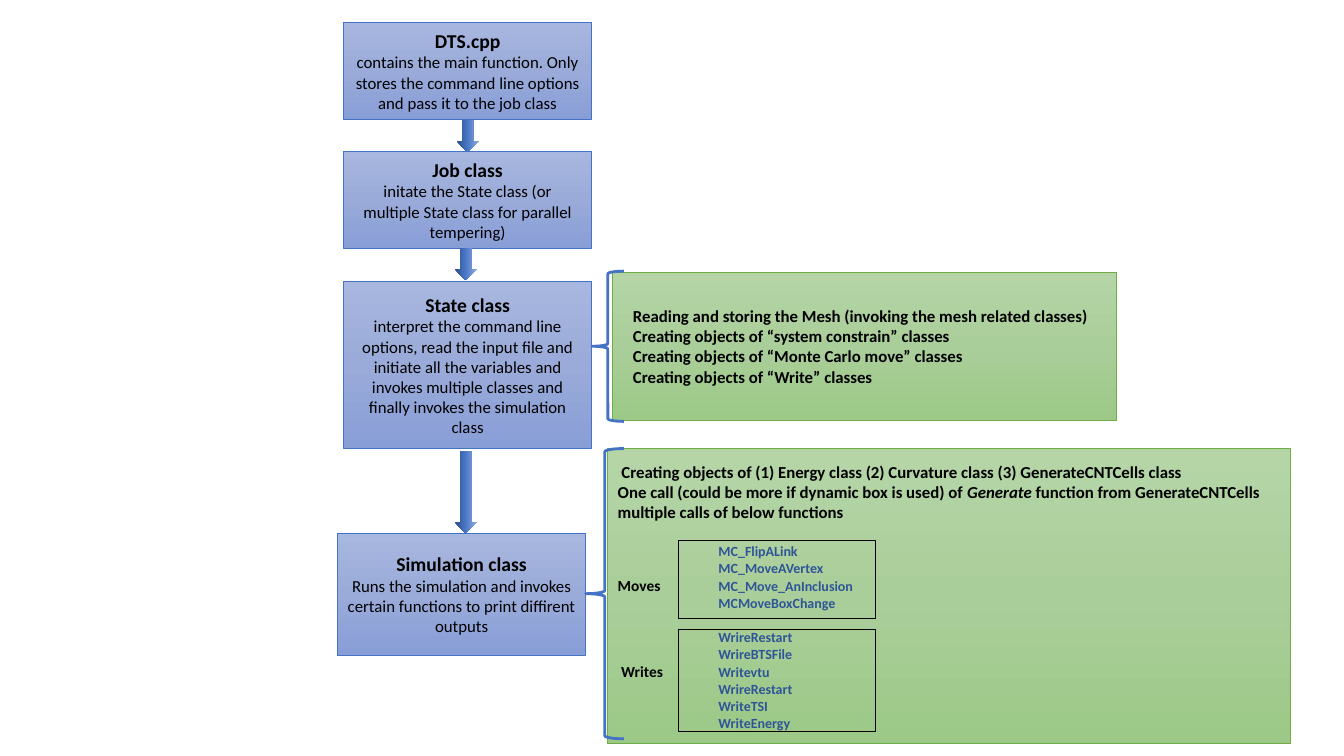
import copy
import lxml.etree
import pptx
import pptx.util
import pptx.dml.color
import pptx.enum.shapes
import pptx.enum.text
import pptx.oxml.ns

Pt = pptx.util.Pt
KIND = pptx.enum.shapes.MSO_SHAPE
ALIGN = pptx.enum.text.PP_ALIGN
CELL = pptx.util.Inches(1) / 12  # the slide is a grid of 160 columns by 90 rows

BLUE = ((0, "A8B7DF"), (50, "9AABD9"), (100, "889ED7"))
GREEN = ((0, "B5D5A7"), (50, "AACE9A"), (100, "9CC987"))
ARROW = ((0, "2A4B86"), (48, "4A76C6"), (100, "8FAADC"))
EDGE, LEAF, BLACK, NAVY = "4472C4", "70AD47", "000000", "2F5597"

STEPS = (
    ((40.92, 2.64, 29.52, 11.52), "DTS.cpp",
     "contains the main function. Only stores the command line options "
     "and pass it to the job class"),
    ((40.92, 18, 29.52, 11.52), "Job class",
     "initate the State class (or multiple State class for parallel tempering)"),
    ((40.92, 33.48, 29.52, 19.92), "State class",
     "interpret the command line options, read the input file and initiate all "
     "the variables and invokes multiple classes and finally invokes the "
     "simulation class"),
    ((40.2, 63.48, 29.52, 14.52), "Simulation class",
     "Runs the simulation and invokes certain functions to print diffirent outputs"),
)
TASKS = (
    "Reading and storing the Mesh (invoking the mesh related classes)",
    "Creating objects of “system constrain” classes",
    "Creating objects of “Monte Carlo move” classes",
    "Creating objects of “Write” classes",
)
# label, its line in the list, gap above in points, function names
GROUPS = (
    ("Moves", 2, 14.6, ("MC_FlipALink", "MC_MoveAVertex",
                        "MC_Move_AnInclusion", "MCMoveBoxChange")),
    (" Writes", 2, 12.2, ("WrireRestart", "WrireBTSFile", "Writevtu",
                          "WrireRestart", "WriteTSI", "WriteEnergy")),
)
ARROWS = ((53.76, 14.88, 3.84, 2.64), (53.52, 30.12, 3.84, 2.64),
          (50.52, 57.24, 9.84, 2.64))
BRACES = ((70.44, 32.28, 3.84, 17.88), (69.72, 53.4, 4.56, 34.56))
FRAMES = ((80.76, 64.32, 23.52, 9.36), (80.76, 74.88, 23.52, 12.24))


def color(text):
    return pptx.dml.color.RGBColor.from_string(text)


def shade(shape, stops, angle):
    """Fill with three colour stops; the angle runs counter-clockwise."""
    fill = shape.fill
    fill.gradient()
    fill.gradient_angle = angle
    items = next(shape.element.spPr.iter(pptx.oxml.ns.qn("a:gsLst")))
    items.append(copy.deepcopy(items[-1]))
    for stop, (place, tint) in zip(fill.gradient_stops, stops):
        stop.position = place / 100
        stop.color.rgb = color(tint)


def draw(slide, kind, spot, stops=None, angle=270, line=None, width=0.5):
    """Add a preset shape at a spot given in grid columns and rows."""
    shape = slide.shapes.add_shape(kind, *(round(n * CELL) for n in spot))
    shape.shadow.inherit = False
    if stops:
        shade(shape, stops, angle)
    else:
        shape.fill.background()
    if line:
        shape.line.color.rgb = color(line)
        shape.line.width = Pt(width)
    else:
        shape.line.fill.background()
    return shape


def panel(slide, spot, stops, line):
    """Add a shaded box and return its text frame."""
    frame = draw(slide, KIND.RECTANGLE, spot, stops, line=line).text_frame
    frame.word_wrap = True
    frame.vertical_anchor = pptx.enum.text.MSO_ANCHOR.MIDDLE
    return frame


def write(frame, runs, align=ALIGN.LEFT, gap=0, indent=0, tab=0):
    """Add a paragraph of (text, size, colour, bold, italic) runs."""
    para = frame.paragraphs[0]
    if para.runs:
        para = frame.add_paragraph()
    para.alignment = align
    para.space_before = Pt(gap)
    props = para._p.get_or_add_pPr()
    if indent:
        props.set("marL", str(Pt(indent)))
    if tab:
        qn = pptx.oxml.ns.qn
        tabs = lxml.etree.SubElement(props, qn("a:tabLst"))
        lxml.etree.SubElement(tabs, qn("a:tab"), pos=str(Pt(tab)), algn="l")
    for text, size, tint, bold, slant in runs:
        run = para.add_run()
        run.text = text
        font = run.font
        font.name, font.size = "Calibri", Pt(size)
        font.bold, font.italic = bold, slant
        font.color.rgb = color(tint)


def bold(text, size=12, tint=BLACK, slant=False):
    return text, size, tint, True, slant


def step(slide, spot, name, note):
    frame = panel(slide, spot, BLUE, EDGE)
    write(frame, [bold(name, 14)], ALIGN.CENTER)
    write(frame, [(note, 12, BLACK, False, False)], ALIGN.CENTER)


def calls(frame):
    """List the functions that the simulation calls, group by group."""
    write(frame, [bold(" Creating objects of (1) Energy class (2) Curvature class "
                       "(3) GenerateCNTCells class")])
    write(frame, [bold("One call (could be more if dynamic box is used) of "),
                  bold("Generate", slant=True),
                  bold(" function from GenerateCNTCells")])
    write(frame, [bold("multiple calls of below functions")])
    for label, place, space, names in GROUPS:
        for row, name in enumerate(names):
            runs = [bold("\t" + name, 10, NAVY)]
            if row == place:
                runs.insert(0, bold(label, 11))
            write(frame, runs, gap=0 if row else space, tab=72)


def main():
    deck = pptx.Presentation()
    deck.slide_width = round(160 * CELL)
    deck.slide_height = round(90 * CELL)
    slide = deck.slides.add_slide(deck.slide_layouts[6])

    for spot, name, note in STEPS:
        step(slide, spot, name, note)
    frame = panel(slide, (72.84, 32.4, 60.12, 17.64), GREEN, LEAF)
    for task in TASKS:
        write(frame, [bold(task)], indent=8)
    calls(panel(slide, (72.36, 53.4, 81.24, 35.16), GREEN, LEAF))

    for spot in ARROWS:
        draw(slide, KIND.RIGHT_ARROW, spot, ARROW, angle=90).rotation = 90
    for spot in BRACES:
        draw(slide, KIND.LEFT_BRACE, spot, line=EDGE, width=2)
    for spot in FRAMES:
        draw(slide, KIND.RECTANGLE, spot, line=BLACK)
    deck.save("out.pptx")


if __name__ == "__main__":
    main()
